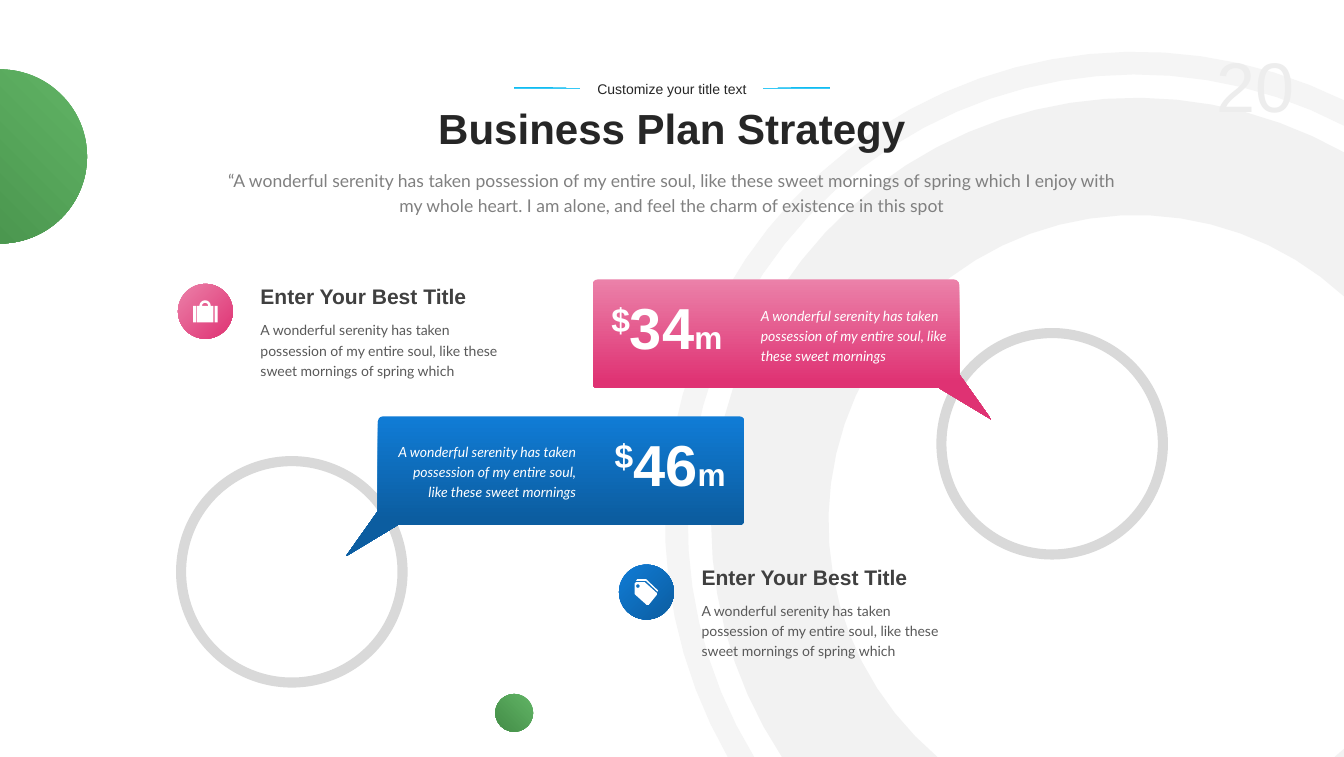
"""Build the business plan strategy slide."""
from dataclasses import dataclass
from math import acos, asin, cos, degrees, radians, sin
from typing import Any, NamedTuple

from pptx import Presentation
from pptx.dml.color import RGBColor
from pptx.enum.shapes import MSO_SHAPE
from pptx.enum.text import MSO_ANCHOR, MSO_AUTO_SIZE, PP_ALIGN
from pptx.util import Inches, Pt

Point = tuple[float, float]
Path = list[Point]


class Blend(NamedTuple):
    start: str
    stop: str
    angle: int = 45
    first: float = 0
    last: float = 1


class Face(NamedTuple):
    font: str
    size: int
    color: str
    bold: bool = False
    slant: bool = False


class Part(NamedTuple):
    text: str
    face: Face
    raised: bool = False


@dataclass(frozen=True)
class Theme:
    wide: float = 21.3
    high: float = 12
    white: str = "FFFFFF"
    band: str = "F2F2F2"
    rim: str = "F5F5F5"
    ring: str = "D9D9D9"
    pink: Blend = Blend("EB81A9", "DF3273")
    blue: Blend = Blend("107CD6", "0C5DA0")
    green: Blend = Blend("62B466", "438D47", 135)
    cyan: Blend = Blend("05B7EF", "4BD1FB", 90, 0.05)
    page: Face = Face("Arial", 80, "EDEDED")
    title: Face = Face("Arial", 48, "262626", True)
    over: Face = Face("Arial", 16, "262626")
    quote: Face = Face("Lato", 20, "808080")
    head: Face = Face("Arial", 24, "404040", True)
    body: Face = Face("Lato", 16, "595959")
    note: Face = Face("Lato", 16, "FFFFFF", slant=True)
    sum: Face = Face("Arial", 66, "FFFFFF", True)
    unit: Face = Face("Arial", 36, "FFFFFF", True)


@dataclass(frozen=True)
class Topic:
    left: float
    top: float
    fill: Blend
    icon: list[Path]


@dataclass(frozen=True)
class Quote:
    drop: float
    flip: bool
    fill: Blend
    sum: str
    sum_box: tuple
    note_box: tuple


THEME = Theme()
LEAD = "A wonderful serenity has taken possession of my entire soul, like these sweet mornings"


def apply(item: Any, form: dict) -> None:
    """Set each format value on an item."""
    for name, value in form.items():
        setattr(item, name, value)


def place(item: Any, box: tuple) -> None:
    """Move an item to a box in inches."""
    apply(item, dict(zip(("left", "top", "width", "height"), map(Inches, box))))


def paint(shape: Any, fill: str | Blend) -> None:
    """Fill a shape with no line or shadow."""
    shape.shadow.inherit = False
    shape.line.fill.background()
    if isinstance(fill, str):
        shape.fill.solid()
        shape.fill.fore_color.rgb = RGBColor.from_string(fill)
        return
    shape.fill.gradient()
    shape.fill.gradient_angle = 360 - fill.angle
    ends = ((fill.start, fill.first), (fill.stop, fill.last))
    for stop, (color, spot) in zip(shape.fill.gradient_stops, ends):
        stop.color.rgb = RGBColor.from_string(color)
        stop.position = spot


def preset(slide: Any, kind: Any, box: tuple, fill: str | Blend) -> Any:
    """Draw a preset shape."""
    shape = slide.shapes.add_shape(kind, *map(Inches, box))
    paint(shape, fill)
    return shape


def arc(mid: Point, size: float, start: float = 0, stop: float = 360, steps: int = 8) -> Path:
    """Return points along an arc, clockwise in degrees."""
    turns = [radians(start + (stop - start) * i / steps) for i in range(steps + 1)]
    return [(mid[0] + size * cos(t), mid[1] + size * sin(t)) for t in turns]


def outline(slide: Any, paths: list[Path], fill: str | Blend) -> None:
    """Draw closed paths as one freeform."""
    first, *rest = [[(Inches(x), Inches(y)) for x, y in path] for path in paths]
    pen = slide.shapes.build_freeform(*first[0])
    pen.add_line_segments(first[1:])
    for path in rest:
        pen.move_to(*path[0])
        pen.add_line_segments(path[1:])
    paint(pen.convert_to_shape(), fill)


def write(item: Any, parts: list[Part], align: Any = PP_ALIGN.LEFT, space: float = 1) -> None:
    """Write one paragraph of styled parts."""
    frame = item.text_frame
    apply(frame, {"word_wrap": True, "auto_size": MSO_AUTO_SIZE.NONE,
                  "vertical_anchor": MSO_ANCHOR.TOP})
    line = frame.paragraphs[0]
    apply(line, {"alignment": align, "line_spacing": space})
    for part in parts:
        run, face = line.add_run(), part.face
        run.text = part.text
        apply(run.font, {"name": face.font, "size": Pt(face.size),
                         "bold": face.bold, "italic": face.slant})
        run.font.color.rgb = RGBColor.from_string(face.color)
        if part.raised:
            run.font._element.set("baseline", "30000")


def label(slide: Any, box: tuple, parts: list[Part], **form: Any) -> None:
    """Add a text box."""
    write(slide.shapes.add_textbox(*map(Inches, box)), parts, **form)


def sweep(size: float) -> Path:
    """Return the arc from the slide's foot to its right edge."""
    x, y = 18, 8.28
    start = 180 - degrees(asin((THEME.high - y) / size))
    stop = 360 - degrees(acos((THEME.wide - x) / size))
    return arc((x, y), size, start, stop, 32)


def draw_band(slide: Any, outer: float, inner: float, fill: str) -> None:
    """Draw a large ring that ends at the slide's edges."""
    path = sweep(outer) + sweep(inner)[::-1]
    outline(slide, [path + path[:1]], fill)


def draw_topic(slide: Any, topic: Topic) -> None:
    """Draw an icon disc with its heading and text."""
    x, y = topic.left, topic.top
    preset(slide, MSO_SHAPE.OVAL, (x, y, 0.87, 0.87), topic.fill)
    outline(slide, topic.icon, THEME.white)
    label(slide, (x + 1.21, y + 0.5, 4.12, 0.97),
          [Part(LEAD + " of spring which", THEME.body)], space=1.2)
    label(slide, (x + 1.21, y - 0.05, 4.47, 0.5), [Part("Enter Your Best Title", THEME.head)])


def draw_quote(slide: Any, quote: Quote) -> None:
    """Draw a speech bubble with its sum and note."""
    path = (arc((6.07, 0.08), 0.08, 270, 180, 3) + [(5.99, 1.5), (5.48, 2.22), (6.31, 1.72)]
            + arc((11.72, 1.64), 0.08, 90, 0, 3) + arc((11.72, 0.08), 0.08, 0, -90, 3))
    path = [(21.19 - x if quote.flip else x, y + quote.drop) for x, y in path]
    outline(slide, [path + path[:1]], quote.fill._replace(angle=90, last=0.74))
    align = PP_ALIGN.LEFT if quote.flip else PP_ALIGN.RIGHT
    label(slide, quote.sum_box, [Part("$", THEME.sum, True), Part(quote.sum, THEME.sum),
                                 Part("m", THEME.unit)], align=align)
    label(slide, quote.note_box, [Part(LEAD, THEME.note)], align=align, space=1.2)


def main() -> None:
    """Build and save the slide."""
    deck = Presentation()
    apply(deck, {"slide_width": Inches(THEME.wide), "slide_height": Inches(THEME.high)})
    slide = deck.slides.add_slide(deck.slide_layouts[5])
    draw_band(slide, 6.73, 4.87, THEME.band)
    outline(slide, [[(21.15, 12), (21.3, 12), (21.3, 11.87), (21.15, 12)]], THEME.band)
    draw_band(slide, 7.46, 7.1, THEME.rim)
    for x, y in ((14.84, 5.2), (2.79, 7.23)):
        ring = preset(slide, MSO_SHAPE.DONUT, (x, y, 3.67, 3.67), THEME.ring)
        ring.adjustments[0] = 0.16 / 3.67
    label(slide, (18.6, 0.63, 2.02, 1.35), [Part("20", THEME.page)], align=PP_ALIGN.RIGHT)

    case = [[(x, 4.85), (x + 0.05, 4.85), (x + 0.05, 5.11), (x, 5.11), (x, 4.85)]
            for x in (3.06, 3.4)]
    case += [[(3.12, 5.11), (3.12, 4.85), *arc((3.25, 4.85), 0.09, 180, 360),
              (3.38, 4.85), (3.38, 5.11), (3.12, 5.11)],
             arc((3.25, 4.85), 0.05, 180, 360) + [(3.2, 4.85)]]
    tags = [[(10.08, 9.21), (10.1, 9.18), (10.24, 9.18), (10.43, 9.36), (10.42, 9.38),
             (10.24, 9.21), (10.08, 9.21)],
            [(10.08, 9.23), (10.22, 9.23), (10.41, 9.4), (10.41, 9.43), (10.28, 9.59),
             (10.25, 9.59), (10.06, 9.42), (10.06, 9.25), (10.08, 9.23)],
            arc((10.11, 9.29), 0.03)]
    for topic in (Topic(2.82, 4.5, THEME.pink, case), Topic(9.81, 8.95, THEME.blue, tags)):
        draw_topic(slide, topic)
    for quote in (Quote(6.6, False, THEME.blue, "46", (7.74, 6.74, 3.86, 1.21),
                        (6.18, 6.93, 3.05, 1.04)),
                  Quote(4.43, True, THEME.pink, "34", (9.59, 4.58, 3.86, 1.21),
                        (11.96, 4.77, 3.18, 0.97))):
        draw_quote(slide, quote)

    center = PP_ALIGN.CENTER
    label(slide, (9.13, 1.22, 3.04, 0.37), [Part("Customize your title text", THEME.over)],
          align=center)
    dash = [(8.15, 1.38), (9.2, 1.4), (8.15, 1.41), (8.15, 1.38)]
    for path in (dash, [(THEME.wide - x, y) for x, y in dash]):
        outline(slide, [path], THEME.cyan)
    title = slide.shapes.title
    place(title, (4.95, 1.57, 11.4, 0.91))
    write(title, [Part("Business Plan Strategy", THEME.title)], align=center)
    slide.shapes._spTree.append(title._element)
    label(slide, (3.4, 2.58, 14.49, 0.87),
          [Part(f"“{LEAD} of spring which I enjoy with my whole heart. I am alone, "
                "and feel the charm of existence in this spot", THEME.quote)],
          align=center, space=1.2)
    for box in ((-1.38, 1.1, 2.76, 2.76), (7.85, 11, 0.6, 0.6)):
        preset(slide, MSO_SHAPE.OVAL, box, THEME.green)
    deck.save("out.pptx")


if __name__ == "__main__":
    main()
